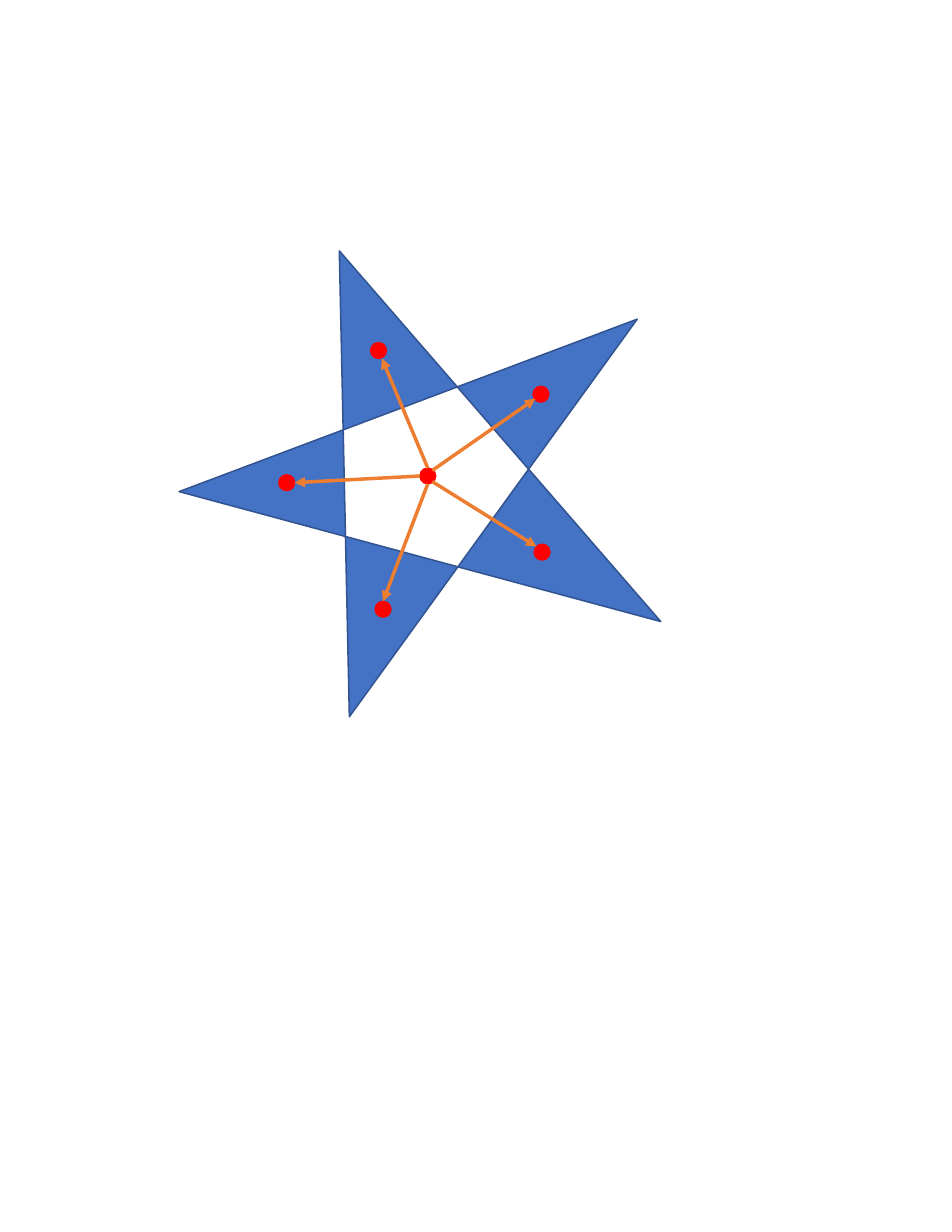
from lxml.etree import SubElement
from pptx import Presentation
from pptx.dml.color import RGBColor
from pptx.enum.shapes import MSO_CONNECTOR as Link, MSO_SHAPE as Shape
from pptx.oxml.ns import qn
from pptx.util import Inches, Pt

WIDE, HIGH = 8.5, 11
BLUE, NAVY, RED, ORANGE = "4472C4", "325491", "FF0000", "ED7D31"
STAR = [(1.6, 4.39), (5.69, 2.85), (3.12, 6.4), (3.03, 2.24), (5.9, 5.55)]
SIZE = 0.14
DOTS = [(3.75, 4.18), (2.49, 4.24), (3.31, 3.06),
        (4.76, 3.45), (4.77, 4.86), (3.35, 5.37)]
ARROWS = [
    ((3.86, 4.2), (4.78, 3.56)),
    ((3.82, 4.18), (3.41, 3.2)),
    ((3.75, 4.25), (2.63, 4.31)),
    ((3.82, 4.32), (3.42, 5.37)),
    ((3.86, 4.3), (4.79, 4.88)),
]


def color(code):
    return RGBColor.from_string(code)


def stroke(item, code, width):
    item.line.color.rgb = color(code)
    item.line.width = Pt(width)


def paint(shape, fill, edge):
    shape.shadow.inherit = False
    shape.fill.solid()
    shape.fill.fore_color.rgb = color(fill)
    stroke(shape, edge, 1)


def draw_star(shapes):
    points = [(Inches(x), Inches(y)) for x, y in STAR]
    pen = shapes.build_freeform(*points[0])
    pen.add_line_segments(points[1:], close=True)
    paint(pen.convert_to_shape(), BLUE, NAVY)


def draw_dot(shapes, left, top):
    dot = shapes.add_shape(Shape.OVAL, Inches(left), Inches(top),
                           Inches(SIZE), Inches(SIZE))
    paint(dot, RED, RED)


def draw_arrow(shapes, start, end):
    ends = [Inches(n) for n in start + end]
    arrow = shapes.add_connector(Link.STRAIGHT, *ends)
    stroke(arrow, ORANGE, 2.25)
    SubElement(arrow.line._get_or_add_ln(), qn("a:tailEnd"), type="triangle")
    SubElement(arrow._element.spPr, qn("a:effectLst"))


def main():
    deck = Presentation()
    deck.slide_width, deck.slide_height = Inches(WIDE), Inches(HIGH)
    shapes = deck.slides.add_slide(deck.slide_layouts[6]).shapes
    draw_star(shapes)
    for left, top in DOTS:
        draw_dot(shapes, left, top)
    for start, end in ARROWS:
        draw_arrow(shapes, start, end)
    deck.save("out.pptx")


if __name__ == "__main__":
    main()
